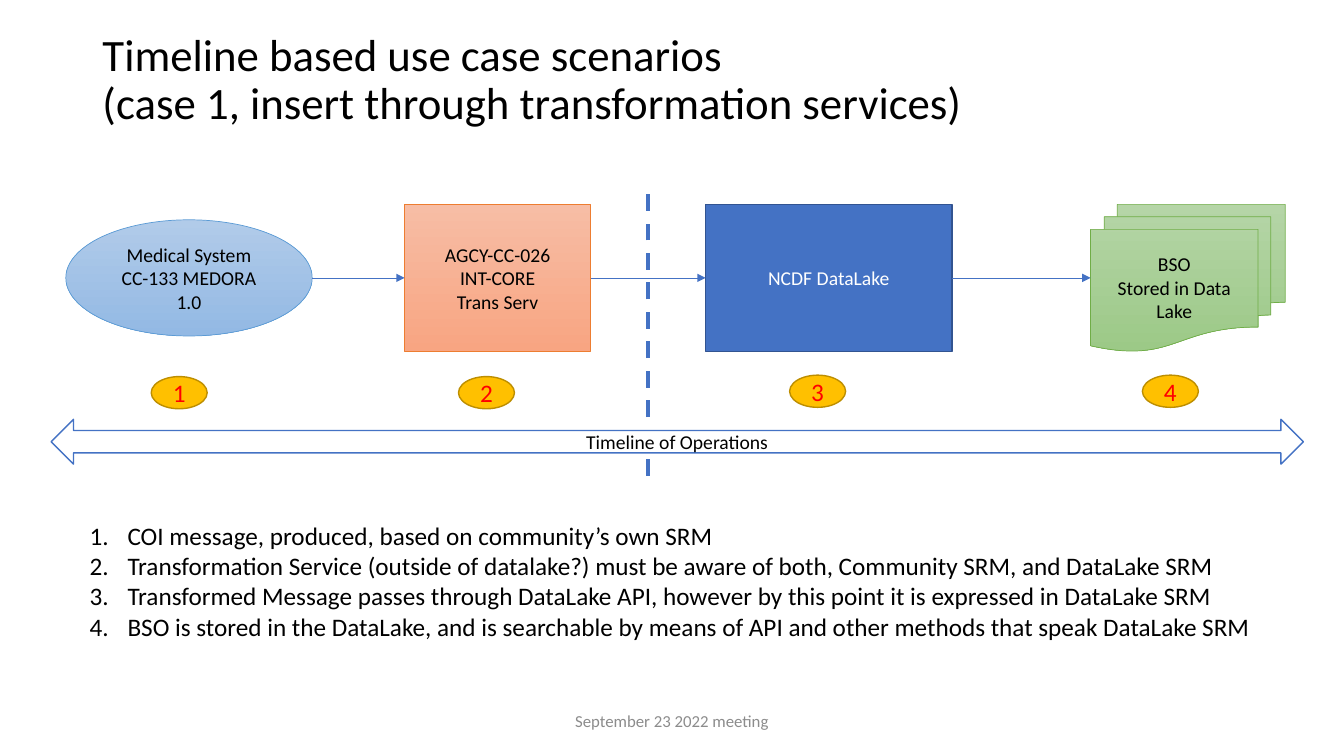
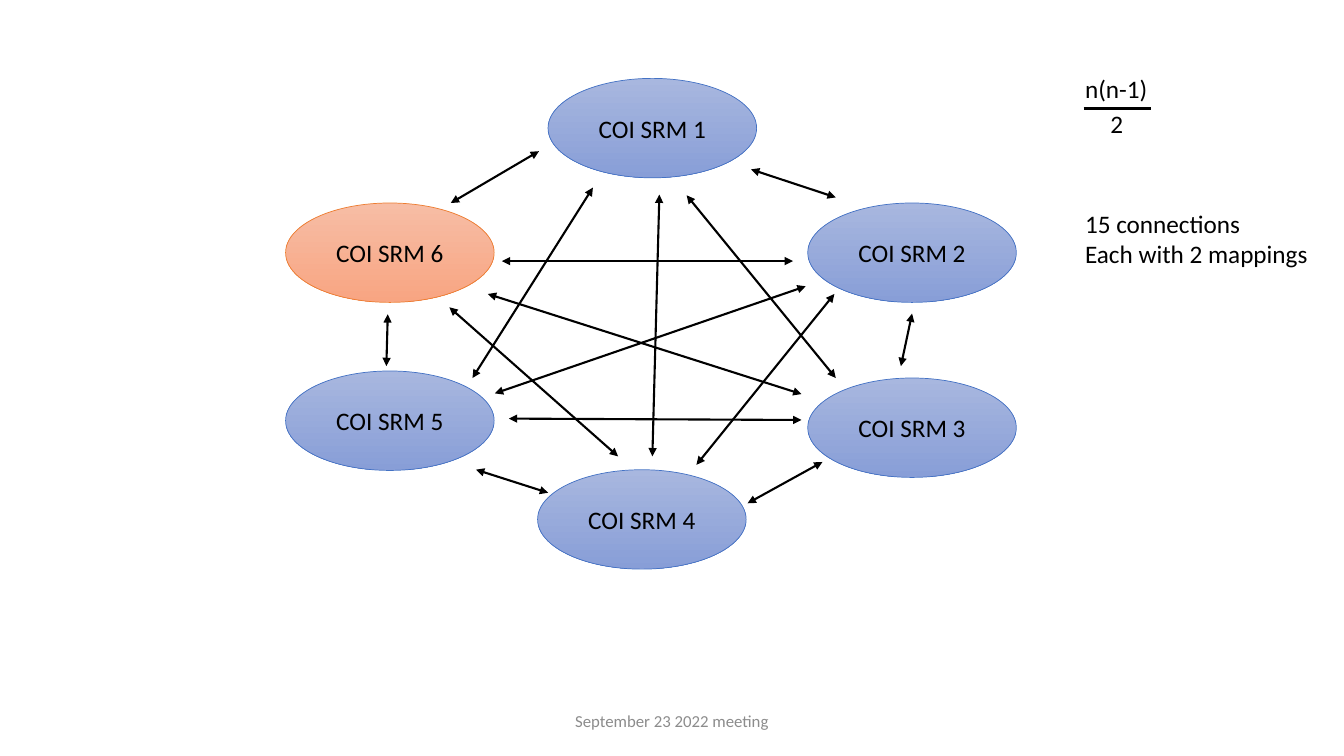
import pptx
import pptx.dml.color
import pptx.enum.dml
import pptx.enum.shapes
import pptx.enum.text
import pptx.oxml.ns
import pptx.util
import lxml.etree

Pt = pptx.util.Pt
rgb = pptx.dml.color.RGBColor.from_string
qn = pptx.oxml.ns.qn
SHAPE = pptx.enum.shapes.MSO_SHAPE
ALIGN = pptx.enum.text.PP_ALIGN
MIDDLE = pptx.enum.text.MSO_ANCHOR.MIDDLE

# Shared look
FONT = "Calibri"
BLACK, WHITE, BLUE = "000000", "FFFFFF", "4472C4"
SKY_STYLE = dict(fills=("B1CBE9", "93B9E4"), outline="5B9BD5")
ORANGE_STYLE = dict(fills=("F7BDA5", "F8A582"), outline="ED7D31")
GREEN_STYLE = dict(fills=("B5D5A7", "9CC987"), outline="70AD47")
PERIWINKLE_STYLE = dict(fills=("A8B7DF", "889ED7"), outline=BLUE)
SOLID_STYLE = dict(fills=(BLUE,), outline="325491", width=1, color=WHITE)
BADGE_STYLE = dict(fills=("FFC000",), outline="BD8E00", width=1, color="FF0000")
TIMELINE_STYLE = dict(fills=(WHITE,), outline=BLUE, width=1)


def add_block(slide, kind, box, text, size, color=BLACK, fills=(), outline=None, width=0.5):
    """Add a centred shape, or a left-aligned text box when kind is None."""
    box = [Pt(value) for value in box]
    if kind is None:
        shape = slide.shapes.add_textbox(*box)
    else:
        shape = slide.shapes.add_shape(kind, *box)
        shape.shadow.inherit = False
        shape.line.color.rgb = rgb(outline)
        shape.line.width = Pt(width)
        if len(fills) == 1:
            shape.fill.solid()
            shape.fill.fore_color.rgb = rgb(fills[0])
        else:
            shape.fill.gradient()
            shape.fill.gradient_angle = 270
            for stop, fill in zip(shape.fill.gradient_stops, fills):
                stop.color.rgb = rgb(fill)
        shape.text_frame.vertical_anchor = MIDDLE
    shape.text_frame.word_wrap = True
    shape.text_frame.text = text
    for paragraph in shape.text_frame.paragraphs:
        paragraph.alignment = ALIGN.LEFT if kind is None else ALIGN.CENTER
        paragraph.font.name = FONT
        paragraph.font.size = Pt(size)
        paragraph.font.color.rgb = rgb(color)
    return shape


def add_line(slide, start, end, color, width, arrows=(), dash=None):
    """Add a straight line; arrows may name headEnd and tailEnd."""
    points = [Pt(value) for value in (*start, *end)]
    line = slide.shapes.add_connector(pptx.enum.shapes.MSO_CONNECTOR.STRAIGHT, *points)
    line.line.color.rgb = rgb(color)
    line.line.width = Pt(width)
    if dash is not None:
        line.line.dash_style = dash
    properties = line.element.spPr
    for arrow in arrows:
        lxml.etree.SubElement(properties.find(qn("a:ln")), qn("a:" + arrow), type="triangle")
    lxml.etree.SubElement(properties, qn("a:effectLst"))
    return line


presentation = pptx.Presentation()
presentation.slide_width = Pt(960)
presentation.slide_height = Pt(540)

# Slide 1: timeline
slide = presentation.slides.add_slide(presentation.slide_layouts[5])
title = slide.shapes.title
title.left, title.top, title.width, title.height = Pt(66), Pt(11), Pt(828), Pt(94)
title.text_frame.text = ("Timeline based use case scenarios \v"
                         "(case 1, insert through transformation services)")
title.text_frame.auto_size = pptx.enum.text.MSO_AUTO_SIZE.NONE
title.text_frame.vertical_anchor = MIDDLE
paragraph = title.text_frame.paragraphs[0]
paragraph.alignment = ALIGN.LEFT
paragraph.line_spacing = 0.9
paragraph.font.name = FONT
paragraph.font.size = Pt(32)
paragraph.font.color.rgb = rgb(BLACK)

# Steps along one axis, each joined to the one before
axis = 198.5
steps = [
    (SHAPE.OVAL, 47, 176, 83, "Medical System\nCC-133 MEDORA 1.0", SKY_STYLE),
    (SHAPE.RECTANGLE, 289, 133, 105, "AGCY-CC-026\vINT-CORE\nTrans Serv", ORANGE_STYLE),
    (SHAPE.RECTANGLE, 504, 176, 105, "NCDF DataLake", SOLID_STYLE),
    (SHAPE.FLOWCHART_MULTIDOCUMENT, 779, 139, 105, "BSO\nStored in Data\nLake", GREEN_STYLE),
]
previous, previous_right = None, 0
for kind, left, width, height, text, style in steps:
    step = add_block(slide, kind, (left, axis - height / 2, width, height), text, 14, **style)
    if previous is not None:
        arrow = add_line(slide, (previous_right, axis), (left, axis), BLUE, 0.5, ["tailEnd"])
        if previous.auto_shape_type == SHAPE.RECTANGLE:
            arrow.begin_connect(previous, 3)
        arrow.end_connect(step, 1)
    previous, previous_right = step, left + width

# Boundary, step numbers and timeline arrow
add_line(slide, (463, 340), (463, 133), BLUE, 3, dash=pptx.enum.dml.MSO_LINE.DASH)
badges = [(108, 269), (327.5, 269), (564, 268), (816, 268)]
for number, (left, top) in enumerate(badges, 1):
    add_block(slide, SHAPE.OVAL, (left, top, 40, 23), str(number), 18, **BADGE_STYLE)
add_block(slide, SHAPE.LEFT_RIGHT_ARROW, (36.5, 299.5, 894.5, 32),
          "Timeline of Operations", 14, **TIMELINE_STYLE)

# Numbered explanations
explanations = add_block(slide, None, (57, 368, 853, 94), "\n".join([
    "COI message, produced, based on community’s own SRM",
    "Transformation Service (outside of datalake?) must be aware of both, "
    "Community SRM, and DataLake SRM",
    "Transformed Message passes through DataLake API, however by this point "
    "it is expressed in DataLake SRM",
    "BSO is stored in the DataLake, and is searchable by means of API and "
    "other methods that speak DataLake SRM",
]), 18)
for paragraph in explanations.text_frame.paragraphs:
    properties = paragraph._p.get_or_add_pPr()
    properties.set("marL", str(Pt(27)))
    properties.set("indent", str(-Pt(27)))
    numbering = lxml.etree.Element(qn("a:buAutoNum"), type="arabicPeriod")
    properties.insert(0, numbering)

# Slide 2: mesh of connections
slide = presentation.slides.add_slide(presentation.slide_layouts[6])
nodes = [(391.5, 56), (577, 145), (577, 270), (384, 335.5), (204, 265), (204, 145)]
for number, (left, top) in enumerate(nodes, 1):
    style = ORANGE_STYLE if number == 6 else PERIWINKLE_STYLE
    add_block(slide, SHAPE.OVAL, (left, top, 149, 71), f"COI SRM {number}", 18, **style)

links = [
    ((385, 108), (322, 145)),
    ((423.5, 134), (337.5, 270)),
    ((471, 139), (466, 326)),
    ((490.5, 139.5), (597, 270)),
    ((536.5, 121), (597, 141)),
    ((566.5, 186.5), (358.5, 186.5)),
    ((572.5, 281.5), (348.5, 210)),
    ((441.5, 326), (321, 219.5)),
    ((277, 224.5), (276, 261.5)),
    ((340, 335.5), (391.5, 352)),
    ((587.5, 330), (534, 359.5)),
    ((651.5, 224), (643.5, 261.5)),
    ((575.5, 204.5), (353.5, 281)),
    ((572.5, 300), (363.5, 299)),
    ((497.5, 332), (596, 210)),
]
for start, end in links:
    add_line(slide, start, end, BLACK, 1.5, ["headEnd", "tailEnd"])

# Formula and its result
add_block(slide, None, (768, 48.5, 64, 29), "n(n-1)", 18)
add_block(slide, None, (786, 73.5, 24, 29), "2", 18)
add_line(slide, (774, 77.5), (822, 77.5), BLACK, 1.5)
add_block(slide, None, (768, 145, 180, 51), "15 connections\nEach with 2 mappings", 18)

# Footer on every slide
for slide in presentation.slides:
    footer = add_block(slide, None, (318, 500.5, 324, 29), "September 23 2022 meeting", 12, "8C8C8C")
    footer.text_frame.vertical_anchor = MIDDLE
    footer.text_frame.paragraphs[0].alignment = ALIGN.CENTER

presentation.save("out.pptx")
